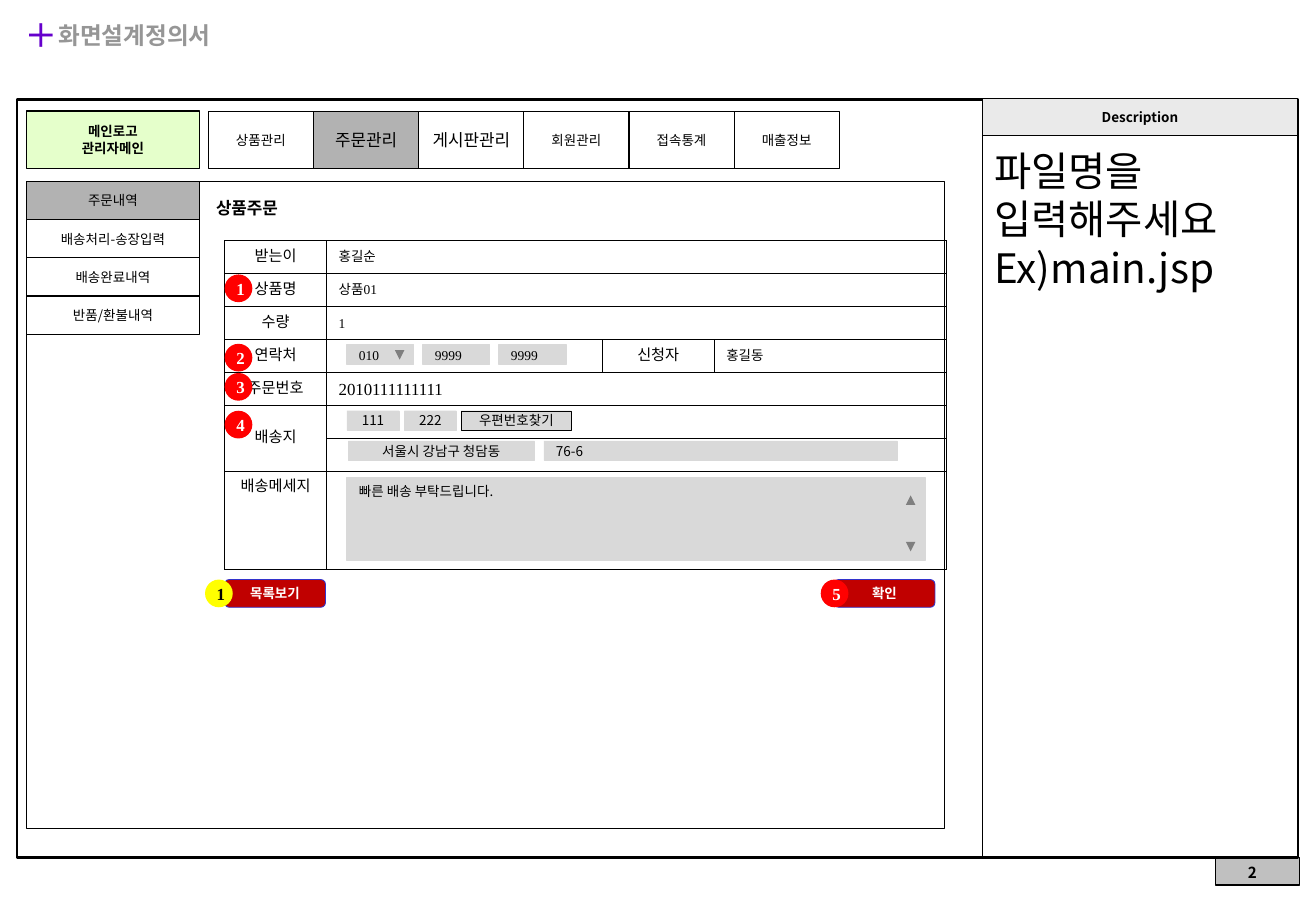
from dataclasses import dataclass
from lxml.etree import SubElement
from pptx import Presentation
from pptx.dml.color import RGBColor
from pptx.enum.shapes import MSO_SHAPE
from pptx.enum.text import MSO_ANCHOR, MSO_AUTO_SIZE, PP_ALIGN
from pptx.oxml.ns import qn
from pptx.util import Cm, Pt


@dataclass(frozen=True)
class Theme:
    sans: str = "Noto Sans CJK KR"
    serif: str = "Times New Roman"
    ink: str = "000000"
    white: str = "FFFFFF"
    grey: str = "969696"
    cross: str = "6600CC"
    logo: str = "CCFF99"
    on: str = "B2B2B2"
    head: str = "EAEAEA"
    page: str = "C0C0C0"
    field: str = "D9D9D9"
    arrow: str = "7F7F7F"
    button: str = "C00000"
    edge: str = "3333CC"
    red: str = "FF0000"
    yellow: str = "FFFF00"
    small: float = 8
    label: float = 9
    mid: float = 10
    title: float = 14
    big: float = 24
    lead: float = 1.2


def color(code):
    return RGBColor.from_string(code)


def apply(item, values):
    for name, value in values.items():
        setattr(item, name, value)


class Sheet:
    def __init__(self, slide, theme):
        self.slide, self.theme = slide, theme

    def run(self, para, text, size, ink=None, bold=False, face=None):
        run = para.add_run()
        run.text = text
        apply(run.font, {"size": Pt(size), "bold": bold, "name": face or self.theme.sans})
        run.font.color.rgb = color(ink or self.theme.ink)
        SubElement(run.font._element, qn("a:ea")).set("typeface", self.theme.sans)

    def lines(self, frame, text, size=None, align=PP_ALIGN.CENTER, **font):
        """Fill a text frame, one paragraph a line."""
        size = size or self.theme.small
        for i, line in enumerate(text.split("\n")):
            para = frame.add_paragraph() if i else frame.paragraphs[0]
            apply(para, {"alignment": align, "line_spacing": Pt(size * self.theme.lead)})
            if line:
                self.run(para, line, size, **font)
            else:
                SubElement(para._p, qn("a:endParaRPr")).set("sz", str(int(size * 100)))

    def title(self, place, mark, text):
        theme, shape = self.theme, self.slide.shapes.title
        apply(shape, dict(zip(("left", "top", "width", "height"), map(Cm, place))))
        frame = shape.text_frame
        apply(frame, {"auto_size": MSO_AUTO_SIZE.NONE, "vertical_anchor": MSO_ANCHOR.TOP})
        para = frame.paragraphs[0]
        para.alignment = PP_ALIGN.LEFT
        self.run(para, mark, theme.title, theme.cross, True)
        self.run(para, text, theme.title, theme.grey, True)

    def shape(self, place, text="", kind=MSO_SHAPE.RECTANGLE, fill=None, line=None,
              width=0.75, wrap=True, anchor=MSO_ANCHOR.MIDDLE, **font):
        shape = self.slide.shapes.add_shape(kind, *map(Cm, place))
        shape.shadow.inherit = False
        if fill:
            shape.fill.solid()
            shape.fill.fore_color.rgb = color(fill)
        else:
            shape.fill.background()
        if width:
            shape.line.color.rgb = color(line or self.theme.ink)
            shape.line.width = Pt(width)
        else:
            shape.line.fill.background()
        apply(shape.text_frame, {"word_wrap": wrap, "vertical_anchor": anchor})
        if text:
            self.lines(shape.text_frame, text, **font)
        return shape

    def text(self, place, text, wrap=True, **font):
        frame = self.slide.shapes.add_textbox(*map(Cm, place)).text_frame
        frame.word_wrap = wrap
        self.lines(frame, text, **font)

    def field(self, place, text, line=None, **look):
        theme = self.theme
        self.shape(place, text, fill=theme.field, line=line or theme.field, **look)

    def button(self, left, text):
        theme = self.theme
        self.shape((left, 12.12, 2.11, 0.58), text, MSO_SHAPE.ROUNDED_RECTANGLE,
                   theme.button, theme.edge, 0.5, ink=theme.white, bold=True)

    def dot(self, left, top, text, fill=None, ink=None):
        theme = self.theme
        self.shape((left, top, 0.58, 0.58), text, MSO_SHAPE.OVAL, fill or theme.red, width=0,
                   size=theme.mid, ink=ink or theme.white, bold=True, face=theme.serif)

    def arrow(self, left, top, turn):
        shape = self.shape((left, top, 0.2, 0.2), kind=MSO_SHAPE.ISOSCELES_TRIANGLE,
                           fill=self.theme.arrow, width=0)
        shape.rotation = turn

    def border(self, cell):
        props = cell._tc.get_or_add_tcPr()
        for i, side in enumerate(("lnL", "lnR", "lnT", "lnB")):
            line = props.makeelement(qn("a:" + side), {"w": str(Pt(0.45))})
            fill = SubElement(line, qn("a:solidFill"))
            SubElement(fill, qn("a:srgbClr")).set("val", self.theme.ink)
            props.insert(i, line)

    def table(self, place, cols, rows, cells, spans):
        """Draw a grid; cells maps (row, column) to (text, style)."""
        table = self.slide.shapes.add_table(len(rows), len(cols), *map(Cm, place)).table
        apply(table, {"first_row": False, "horz_banding": False})
        for col, size in zip(table.columns, cols):
            col.width = Cm(size)
        for row, size in zip(table.rows, rows):
            row.height = Cm(size)
        for r in range(len(rows)):
            for c in range(len(cols)):
                cell = table.cell(r, c)
                text, style = cells.get((r, c), ("", {}))
                cell.fill.background()
                self.border(cell)
                last = r == len(rows) - 1
                cell.vertical_anchor = MSO_ANCHOR.TOP if last else MSO_ANCHOR.MIDDLE
                self.lines(cell.text_frame, text, face=self.theme.serif, **style)
        for start, end in spans:
            table.cell(*start).merge(table.cell(*end))


def frame(sheet):
    theme = sheet.theme
    sheet.title((0.36, 0.3, 13, 0.86), "╋ ", "화면설계정의서")
    sheet.shape((25.43, 17.93, 1.75, 0.58), fill=theme.page)
    sheet.text((25.35, 17.93, 1.7, 0.69), "2", size=theme.label, bold=True)
    sheet.shape((0.36, 2.08, 26.8, 15.85), width=1.5)
    sheet.shape((20.55, 2.06, 6.6, 0.78), "Description", fill=theme.head, bold=True)
    sheet.shape((20.55, 2.84, 6.6, 15.09))
    sheet.text((20.55, 2.92, 6.6, 4.32), "파일명을\n입력해주세요\nEx)main.jsp",
               size=theme.big, align=PP_ALIGN.LEFT)


def menus(sheet):
    theme = sheet.theme
    logo = sheet.shape((0.56, 2.32, 3.61, 1.2), "메인로고\n관리자메인", fill=theme.logo,
                       wrap=False, bold=True)
    tint = logo._element.spPr.find(".//" + qn("a:srgbClr"))
    SubElement(tint, qn("a:alpha")).set("val", "51000")
    tabs = ("상품관리", "주문관리", "게시판관리", "회원관리", "접속통계", "매출정보")
    for i, name in enumerate(tabs):
        sheet.shape((4.36 + 2.2 * i, 2.33, 2.2, 1.2), name, wrap=False,
                    fill=theme.on if i == 1 else None,
                    size=theme.mid if i in (1, 2) else theme.small)
    sheet.shape((0.56, 3.79, 19.2, 13.54))
    for i, name in enumerate(("주문내역", "배송처리-송장입력", "배송완료내역", "반품/환불내역")):
        sheet.shape((0.56, 3.79 + 0.8 * i, 3.61, 0.8), name, wrap=False,
                    fill=None if i else theme.on)
    sheet.text((4.27, 4.01, 1.8, 0.69), "상품주문", wrap=False, size=theme.mid,
               bold=True, align=PP_ALIGN.LEFT)


def order(sheet):
    theme, left = sheet.theme, PP_ALIGN.LEFT
    names = ("받는이", "상품명", "수량", "연락처", "주문번호", "배송지", None, "배송메세지")
    cells = {(r, 0): (name, {"size": theme.label}) for r, name in enumerate(names) if name}
    cells[3, 2] = "신청자", {"size": theme.label}
    for spot, text in {(0, 1): "홍길순", (1, 1): "상품01", (2, 1): "1", (3, 3): "홍길동"}.items():
        cells[spot] = text, {"align": left}
    cells[4, 1] = "2010111111111", {"align": left, "size": theme.mid}
    spans = [((r, 1), (r, 3)) for r in range(8) if r != 3] + [((5, 0), (6, 0))]
    sheet.table((4.7, 5.03, 15.09, 6.89), (2.13, 5.77, 2.34, 4.85), [0.69] * 7 + [2.06],
                cells, spans)

    for i, text in enumerate(("010", "9999", "9999")):
        sheet.field((7.26 + 1.59 * i, 7.21, 1.4, 0.41), text, align=left, face=theme.serif)
    for i, text in enumerate(("111", "222")):
        sheet.field((7.26 + 1.2 * i, 8.59, 1.09, 0.41), text, width=0.25)
    sheet.field((9.65, 8.59, 2.31, 0.41), "우편번호찾기", line=theme.ink, width=0.25)
    sheet.field((7.29, 9.22, 3.89, 0.41), "서울시 강남구 청담동", width=0.25)
    sheet.field((11.38, 9.22, 7.39, 0.41), "76-6", width=0.25, align=left)
    sheet.field((7.26, 9.98, 12.09, 1.75), "빠른 배송 부탁드립니다.",
                anchor=MSO_ANCHOR.TOP, align=left)
    for spot in ((8.26, 7.32, 180), (18.95, 11.33, 180), (18.95, 10.36, 0)):
        sheet.arrow(*spot)
    sheet.button(4.7, "목록보기")
    sheet.button(17.45, "확인")
    for i, top in enumerate((5.74, 7.19, 7.8, 8.59)):
        sheet.dot(4.7, top, str(i + 1))
    sheet.dot(17.17, 12.12, "5")
    sheet.dot(4.29, 12.12, "1", theme.yellow, theme.ink)


def main():
    deck = Presentation()
    apply(deck, {"slide_width": Cm(27.53), "slide_height": Cm(19.05)})
    sheet = Sheet(deck.slides.add_slide(deck.slide_layouts[5]), Theme())
    for part in (frame, menus, order):
        part(sheet)
    deck.save("out.pptx")


if __name__ == "__main__":
    main()
